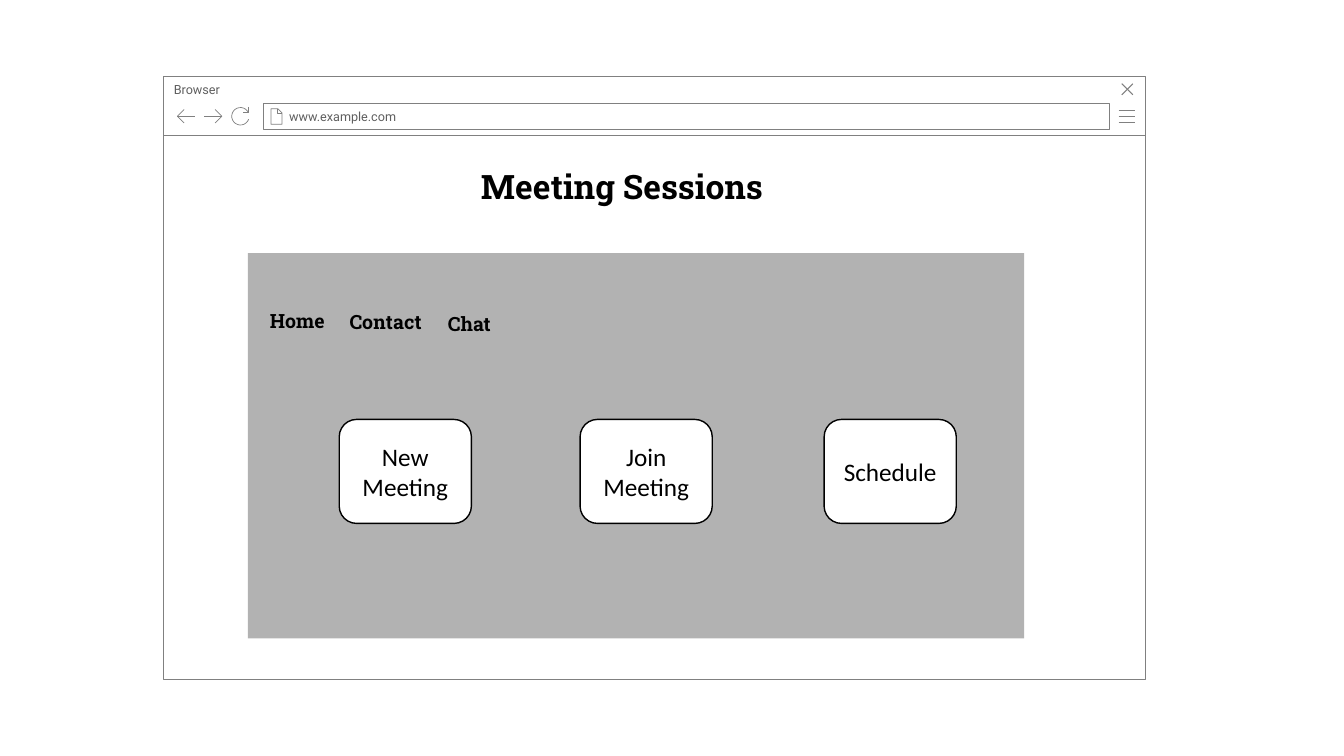
import math
from lxml import etree
from pptx import Presentation
from pptx import util as u
from pptx.dml.color import RGBColor
from pptx.enum import shapes, text
from pptx.oxml.ns import qn

COLORS = {"white": "FFFFFF", "gray": "808080", "label": "5F5F5F", "black": "000000"}
RECT = shapes.MSO_SHAPE.RECTANGLE
ROUNDED = shapes.MSO_SHAPE.ROUNDED_RECTANGLE
TOP, MIDDLE = text.MSO_ANCHOR.TOP, text.MSO_ANCHOR.MIDDLE
LEFT, CENTER = text.PP_ALIGN.LEFT, text.PP_ALIGN.CENTER


def color(name):
    return RGBColor.from_string(COLORS[name])


def write(sp, words, font, anchor=TOP, align=LEFT, wrap=True, **margins):
    tf = sp.text_frame
    frame = {"word_wrap": wrap, "vertical_anchor": anchor} | margins
    for name, value in frame.items():
        setattr(tf, name, value)
    p = tf.paragraphs[0]
    p.alignment = align
    r = p.add_run()
    r.text = words
    for name, value in font.items():
        if name == "color":
            r.font.color.rgb = color(value)
        else:
            setattr(r.font, name, value)


prs = Presentation()
prs.slide_width, prs.slide_height = u.Cm(33.87), u.Cm(19.05)
s = prs.slides.add_slide(prs.slide_layouts[6])

# Browser window: page, title bar, address bar
small = {"name": "Roboto", "size": u.Pt(9), "color": "label"}
bars = [
    ((4.13, 3.41, 24.74, 13.71), None, TOP, 0.25),
    ((4.13, 1.93, 24.74, 1.48), "Browser", TOP, 0.25),
    ((6.64, 2.6, 21.32, 0.67), "www.example.com", MIDDLE, 0.65),
]
for box, words, anchor, inset in bars:
    sp = s.shapes.add_shape(RECT, *map(u.Cm, box))
    sp.shadow.inherit = False
    sp.fill.solid()
    sp.fill.fore_color.rgb = color("white")
    sp.line.color.rgb = color("gray")
    sp.line.width = u.Pt(0.5)
    if words:
        write(sp, words, small, anchor, margin_left=u.Cm(inset))

# Browser icons: each one is a list of strokes in centimetres
arc = [(6.06 + 0.22 * math.cos(math.radians(a)), 2.93 + 0.22 * math.sin(math.radians(a)))
       for a in range(20, 336, 15)]
icons = {
    "menu": [[(28.19, y), (28.6, y)] for y in (2.77, 2.93, 3.09)],
    "close": [[(28.55, 2.11), (28.27, 2.39)], [(28.27, 2.11), (28.55, 2.39)]],
    "page": [[(7.0, 2.74), (7.0, 2.85), (7.11, 2.85)],
             [(6.83, 2.74), (6.83, 3.13), (7.11, 3.13), (7.11, 2.85), (7.0, 2.74), (6.83, 2.74)]],
    "back": [[(4.64, 3.1), (4.47, 2.93), (4.64, 2.76)], [(4.47, 2.93), (4.92, 2.93)]],
    "forward": [[(5.42, 2.76), (5.59, 2.93), (5.42, 3.1)], [(5.59, 2.93), (5.14, 2.93)]],
    "reload": [[(6.27, 2.69), (6.27, 2.84), (6.12, 2.84)], arc],
}
for name, strokes in icons.items():
    points = [[(u.Cm(x), u.Cm(y)) for x, y in stroke] for stroke in strokes]
    builder = s.shapes.build_freeform(*points[0][0])
    builder.add_line_segments(points[0][1:], close=False)
    for stroke in points[1:]:
        builder.move_to(*stroke[0])
        builder.add_line_segments(stroke[1:], close=False)
    sp = builder.convert_to_shape()
    sp.shadow.inherit = False
    sp.fill.background()
    sp.line.color.rgb = color("gray")
    sp.line.width = u.Pt(0.75 if name == "close" else 0.5)

# Translucent content panel
panel = s.shapes.add_shape(RECT, *map(u.Cm, (6.25, 6.38, 19.56, 9.71)))
panel.shadow.inherit = False
panel.fill.solid()
panel.fill.fore_color.rgb = color("gray")
panel.line.fill.background()
fill = panel.fill._xPr.find(qn("a:solidFill"))
etree.SubElement(fill[0], qn("a:alpha"), val="60000")

# Heading and navigation
labels = [
    ("Meeting Sessions", 24, (11.87, 4.06, 7.85, 1.28)),
    ("Home", 14, (6.55, 7.67, 1.96, 0.86)),
    ("Contact", 14, (8.56, 7.69, 2.41, 0.86)),
    ("Chat", 14, (11.04, 7.74, 1.68, 0.86)),
]
for words, size, box in labels:
    sp = s.shapes.add_textbox(*map(u.Cm, box))
    font = {"name": "Roboto Slab", "size": u.Pt(size), "bold": True, "color": "black"}
    write(sp, words, font, wrap=False)
    sp.text_frame.auto_size = text.MSO_AUTO_SIZE.SHAPE_TO_FIT_TEXT

# Meeting buttons
button_font = {"name": "Calibri", "size": u.Pt(18), "color": "black"}
for words, left in (("New Meeting", 8.55), ("Join Meeting", 14.62), ("Schedule", 20.77)):
    sp = s.shapes.add_shape(ROUNDED, *map(u.Cm, (left, 10.57, 3.33, 2.62)))
    sp.shadow.inherit = False
    sp.fill.solid()
    sp.fill.fore_color.rgb = color("white")
    sp.line.color.rgb = color("black")
    sp.line.width = u.Pt(1)
    write(sp, words, button_font, MIDDLE, CENTER)

prs.save("out.pptx")
